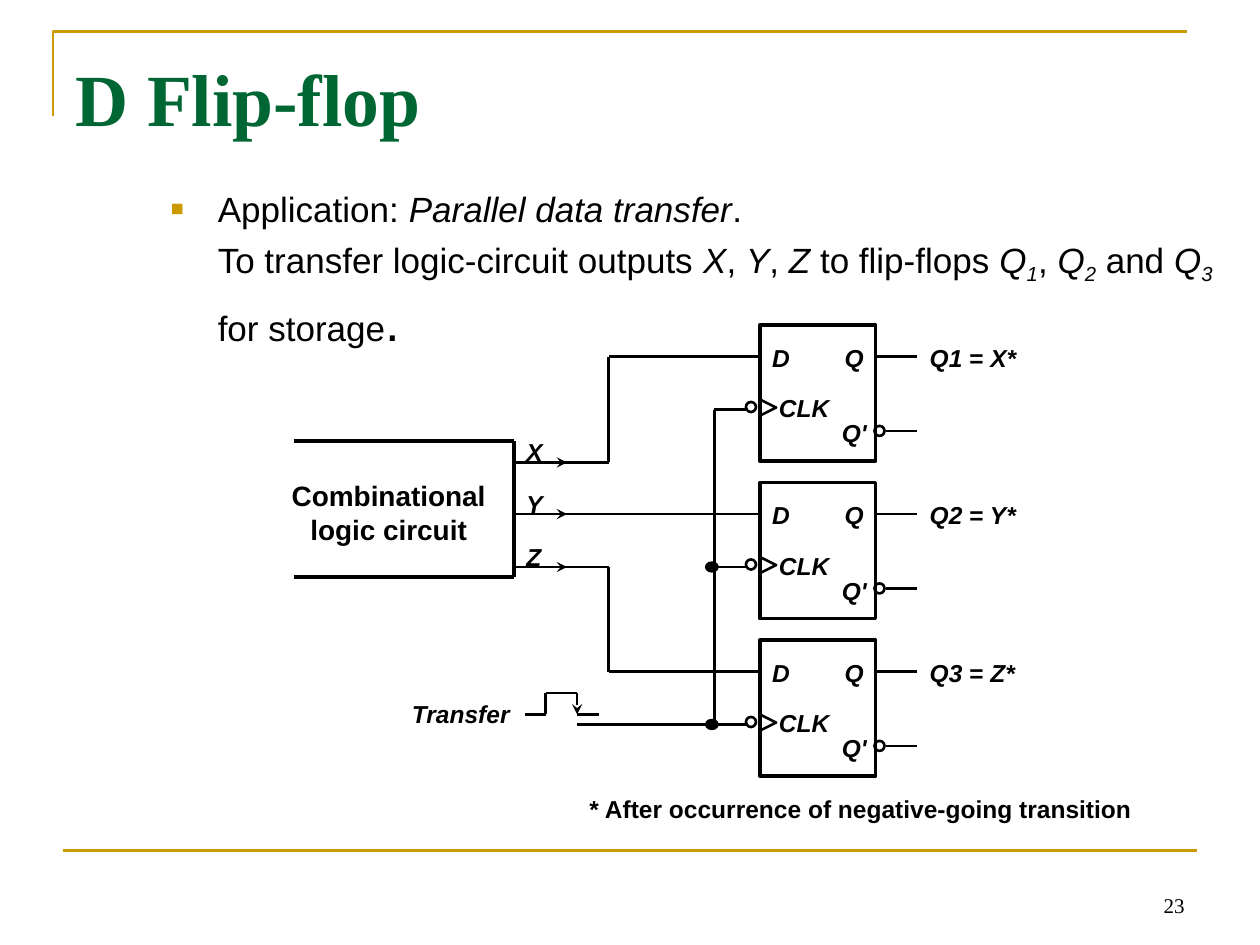
from pptx import Presentation
from pptx.dml.color import RGBColor
from pptx.enum.shapes import MSO_CONNECTOR, MSO_SHAPE as SHAPE
from pptx.enum.text import MSO_ANCHOR, MSO_AUTO_SIZE, PP_ALIGN
from pptx.oxml.ns import qn
from pptx.util import Inches, Pt
from lxml.etree import SubElement

rgb = RGBColor.from_string
BLACK, GOLD, GREEN = "000000", "CC9900", "006633"
LABEL = dict(name="Arial", size=Pt(14), bold=True, italic=True)
PLAIN = dict(LABEL, italic=False)
ITALIC, UPRIGHT = dict(italic=True), dict(italic=False)


def write(p, runs, fmt, color=BLACK):
    """Add (text, changes) runs to a paragraph."""
    for text, changes in runs:
        r = p.add_run()
        r.text = text
        for key, value in {**fmt, **changes}.items():
            setattr(r.font, key, value)
        r.font.color.rgb = rgb(color)


def line(x1, y1, x2, y2, width=1.5, color=BLACK, arrow=False):
    c = s.shapes.add_connector(MSO_CONNECTOR.STRAIGHT, Inches(x1), Inches(y1),
                               Inches(x2), Inches(y2))
    c.line.width = Pt(width)
    c.line.color.rgb = rgb(color)
    if arrow:
        SubElement(c.line._get_or_add_ln(), qn("a:tailEnd"), type="stealth")
    SubElement(c._element.spPr, qn("a:effectLst"))


prs = Presentation()
prs.slide_width, prs.slide_height = Inches(10), Inches(7.5)
s = prs.slides.add_slide(prs.slide_layouts[5])

# Frame rules
fb = s.shapes.build_freeform(Inches(0.42), Inches(0.92))
fb.add_line_segments([(Inches(0.42), Inches(0.25)), (Inches(9.42), Inches(0.25))], close=False)
corner = fb.convert_to_shape()
corner.shadow.inherit = False
corner.fill.background()
corner.line.color.rgb = rgb(GOLD)
corner.line.width = Pt(1.5)
line(0.5, 6.75, 9.5, 6.75, color=GOLD)

# Title
title = s.shapes.title
title.left, title.top, title.width, title.height = map(Inches, (0.5, 0.3, 9, 1.25))
tf = title.text_frame
tf.auto_size = MSO_AUTO_SIZE.NONE
tf.vertical_anchor = MSO_ANCHOR.TOP
tf.margin_top = Inches(0.12)
tf.paragraphs[0].alignment = PP_ALIGN.LEFT
write(tf.paragraphs[0], [("D Flip-flop", {})],
      dict(name="Times New Roman", size=Pt(42), bold=True), GREEN)

# Body text
BODY = dict(name="Arial", size=Pt(20), italic=False)
tf = s.shapes.add_textbox(Inches(1.25), Inches(1.42), Inches(8.58), Inches(1.42)).text_frame
tf.word_wrap = True
bullet, detail = tf.paragraphs[0], tf.add_paragraph()
detail.space_before = Pt(3.7)
for p, indent in ((bullet, -0.38), (detail, 0)):
    p.line_spacing = 1.05
    pPr = p._p.get_or_add_pPr()
    pPr.set("marL", str(Inches(0.38)))
    pPr.set("indent", str(Inches(indent)))
pPr = bullet._p.get_or_add_pPr()
SubElement(SubElement(pPr, qn("a:buClr")), qn("a:srgbClr"), val=GOLD)
SubElement(pPr, qn("a:buSzPct"), val="120000")
SubElement(pPr, qn("a:buFont"), typeface="Arial")
SubElement(pPr, qn("a:buChar"), char="▪")
write(bullet, [("Application: ", {}), ("Parallel data transfer", ITALIC), (".", {})], BODY)
write(detail, [("To transfer logic-circuit outputs ", {}), ("X", ITALIC), (", ", {}),
               ("Y", ITALIC), (", ", {}), ("Z", ITALIC), (" to flip-flops ", {})], BODY)
for number, after in (("1", ", "), ("2", " and "), ("3", " for storage")):
    write(detail, [("Q", ITALIC), (number, ITALIC), (after, {})], BODY)
    detail.runs[-2].font._element.set("baseline", "-25000")
write(detail, [(".", dict(size=Pt(30)))], BODY)

# Text boxes: left, top, width, height, alignment, space between, paragraphs, format
LEFT, CENTER, RIGHT = PP_ALIGN.LEFT, PP_ALIGN.CENTER, PP_ALIGN.RIGHT
boxes = [
    (7.17, 6.83, 2.33, 0.5, RIGHT, 0, [[("23", {})]], dict(name="Times New Roman", size=Pt(12))),
    (4.58, 6.25, 4.58, 0.34, LEFT, 0,
     [[("* After occurrence of negative-going transition", {})]], PLAIN),
    (2.17, 3.75, 1.83, 0.64, CENTER, 0,
     [[("Combinational logic circuit", {})]], dict(PLAIN, size=Pt(16))),
    (3.17, 5.5, 1.08, 0.34, LEFT, 0, [[("Transfer", {})]], LABEL),
]
# Shapes: kind, left, top, width, height, line width, fill, rotation
shapes = []

# Three flip-flops, with the wires into D and CLK
for i, (signal, d_start, clk_start) in enumerate(
        (("X", 4.83, 5.67), ("Y", 4.42, 5.67), ("Z", 4.83, 4.58))):
    top = 2.58 + 1.25 * i
    d_y, clk_y, inv_y = top + 0.25, top + 0.67, top + 0.84
    shapes += [
        (SHAPE.RECTANGLE, 6.03, top, 0.92, 1.08, 2, None, 0),
        (SHAPE.OVAL, 6.94, inv_y - 0.04, 0.08, 0.08, 1.5, None, 0),
        (SHAPE.ISOSCELES_TRIANGLE, 6.03, top + 0.59, 0.13, 0.13, 1.5, None, 90),
        (SHAPE.OVAL, 5.92, top + 0.61, 0.08, 0.08, 1.5, None, 0),
    ]
    if i:
        shapes.append((SHAPE.OVAL, 5.6, clk_y - 0.04, 0.1, 0.08, 0.75, BLACK, 0))
    line(d_start, d_y, 6.03, d_y)
    line(clk_start, clk_y, 5.94, clk_y)
    line(6.94, d_y, 7.28, d_y)
    line(7.03, inv_y, 7.28, inv_y)
    boxes += [
        (6.03, top + 0.09, 0.8, 0.74, LEFT, 12.2, [[("D", {})], [(" CLK", {})]], LABEL),
        (6.53, top + 0.09, 0.5, 0.92, CENTER, 26.5, [[("Q", {})], [("Q'", {})]], LABEL),
        (7.28, top + 0.09, 0.92, 0.34, LEFT, 0,
         [[(f"Q{i + 1} ", {}), ("=", UPRIGHT), (f" {signal}*", {})]], LABEL),
    ]
line(5.67, 3.25, 5.67, 5.75)

# Combinational circuit outline
for x1, y1, x2, y2 in ((2.33, 3.5, 4.08, 3.5), (2.33, 4.58, 4.08, 4.58), (4.08, 3.5, 4.08, 4.58)):
    line(x1, y1, x2, y2, 2)

# Output wires
for signal, y, label_y in (("X", 3.67, 3.42), ("Y", 4.08, 3.83), ("Z", 4.5, 4.25)):
    line(4.08, y, 4.5, y, arrow=True)
    boxes.append((4.08, label_y, 0.42, 0.34, LEFT, 0, [[(signal, {})]], LABEL))
for y, d_y in ((3.67, 2.83), (4.5, 5.33)):
    line(4.42, y, 4.83, y)
    line(4.83, y, 4.83, d_y)

# Transfer pulse
pulse = [(4.17, 5.67), (4.33, 5.67), (4.33, 5.5), (4.58, 5.5), (4.58, 5.67), (4.75, 5.67)]
for i, (start, end) in enumerate(zip(pulse, pulse[1:])):
    line(*start, *end, arrow=(i == 3))

# Draw the shapes
for kind, x, y, w, h, width, fill, rotation in shapes:
    sp = s.shapes.add_shape(kind, Inches(x), Inches(y), Inches(w), Inches(h))
    sp.shadow.inherit = False
    sp.rotation = rotation
    sp.line.width = Pt(width)
    sp.line.color.rgb = rgb(BLACK)
    if fill:
        sp.fill.solid()
        sp.fill.fore_color.rgb = rgb(fill)
    else:
        sp.fill.background()

# Draw the text boxes
for x, y, w, h, align, gap, paragraphs, fmt in boxes:
    tf = s.shapes.add_textbox(Inches(x), Inches(y), Inches(w), Inches(h)).text_frame
    tf.word_wrap = True
    if align == RIGHT:
        tf.vertical_anchor = MSO_ANCHOR.BOTTOM
    for i, runs in enumerate(paragraphs):
        p = tf.add_paragraph() if i else tf.paragraphs[0]
        p.alignment = align
        if i:
            p.space_before = Pt(gap)
        write(p, runs, fmt)

prs.save("out.pptx")
